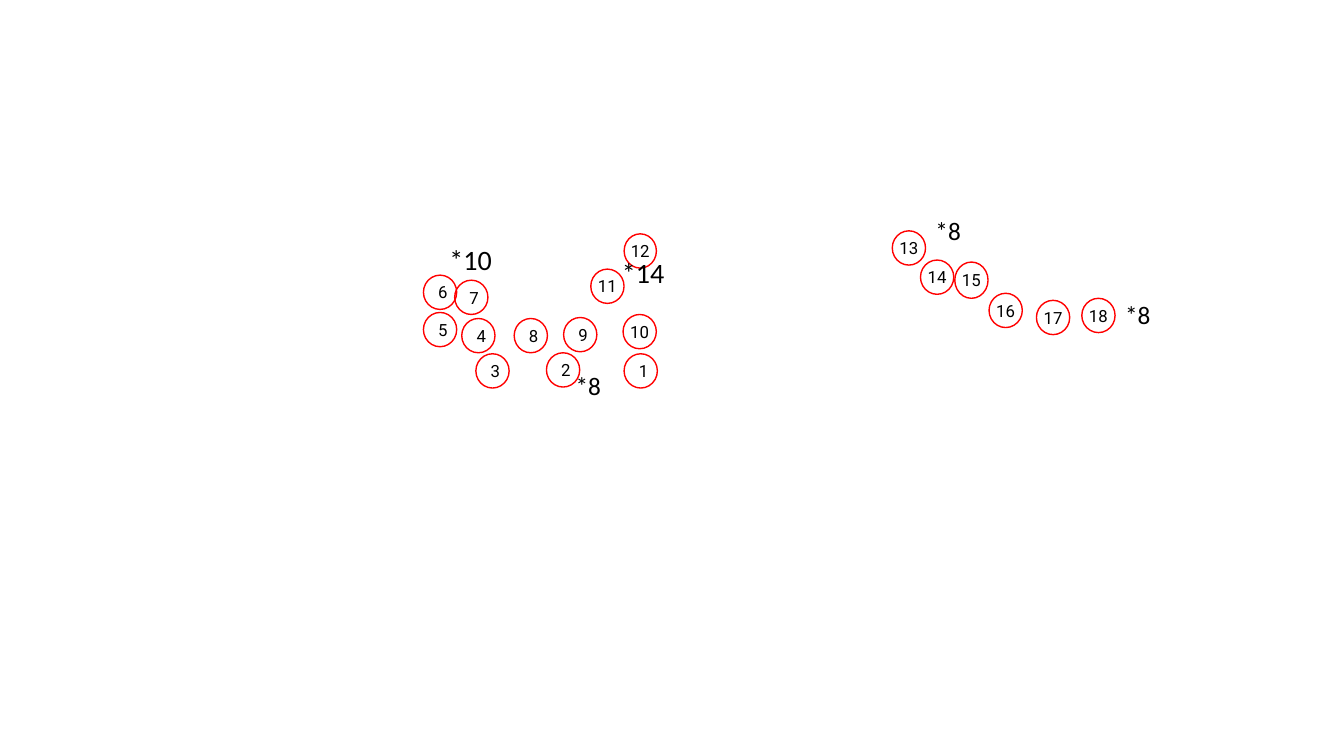
from typing import NamedTuple

from pptx import Presentation
from pptx.dml.color import RGBColor
from pptx.enum.shapes import MSO_SHAPE
from pptx.enum.text import MSO_ANCHOR, MSO_AUTO_SIZE, PP_ALIGN
from pptx.util import Inches, Pt

# The slide is a fine grid of square cells
COLUMNS, ROWS = 1333, 750
CELL = Inches(0.01)
RED, BLACK = "FF0000", "000000"


class Marker(NamedTuple):
    column: int
    row: int
    width: int = 33
    height: int = 34


class CountLabel(NamedTuple):
    text: str
    column: int
    row: int
    width: int = 46
    height: int = 40
    size: int = 18


# Markers in the order of their numbers
MARKERS = [
    Marker(619, 351), Marker(542, 350), Marker(472, 351),
    Marker(458, 316), Marker(420, 310), Marker(420, 273),
    Marker(451, 278), Marker(510, 316), Marker(559, 315),
    Marker(618, 312), Marker(586, 267), Marker(619, 232, width=32),
    Marker(885, 229), Marker(913, 258), Marker(947, 260, height=36),
    Marker(981, 291), Marker(1028, 298), Marker(1073, 296),
]

COUNT_LABELS = [
    CountLabel("*8", 561, 362),
    CountLabel("*8", 918, 209),
    CountLabel("*14", 607, 249, width=63, height=44, size=20),
    CountLabel("*8", 1106, 292),
    CountLabel("*10", 436, 236, width=63, height=44, size=20),
]


def color(value: str) -> RGBColor:
    return RGBColor.from_string(value)


def box(item: Marker | CountLabel) -> list[int]:
    return [CELL * cells for cells in (item.column, item.row, item.width, item.height)]


def write_text(frame, text: str, *, font: str, size: int, align=PP_ALIGN.LEFT) -> None:
    paragraph = frame.paragraphs[0]
    paragraph.alignment = align
    run = paragraph.add_run()
    run.text = text
    run.font.name = font
    run.font.size = Pt(size)
    run.font.color.rgb = color(BLACK)


def draw_marker(slide, number: int, marker: Marker) -> None:
    shape = slide.shapes.add_shape(MSO_SHAPE.OVAL, *box(marker))
    shape.shadow.inherit = False
    shape.fill.background()
    shape.line.color.rgb = color(RED)
    shape.line.width = Pt(1)
    frame = shape.text_frame
    frame.vertical_anchor = MSO_ANCHOR.MIDDLE
    if number >= 10:  # two digits need the full width
        frame.margin_left = frame.margin_right = 0
    write_text(frame, str(number), font="Roboto", size=12, align=PP_ALIGN.CENTER)


def draw_count_label(slide, label: CountLabel) -> None:
    frame = slide.shapes.add_textbox(*box(label)).text_frame
    frame.word_wrap = False
    frame.auto_size = MSO_AUTO_SIZE.SHAPE_TO_FIT_TEXT
    write_text(frame, label.text, font="Calibri", size=label.size)


def main() -> None:
    presentation = Presentation()
    presentation.slide_width = CELL * COLUMNS
    presentation.slide_height = CELL * ROWS
    slide = presentation.slides.add_slide(presentation.slide_layouts[6])

    # Numbered circles
    for number, marker in enumerate(MARKERS, start=1):
        draw_marker(slide, number, marker)

    # Counts beside the circles
    for label in COUNT_LABELS:
        draw_count_label(slide, label)

    presentation.save("out.pptx")


if __name__ == "__main__":
    main()
